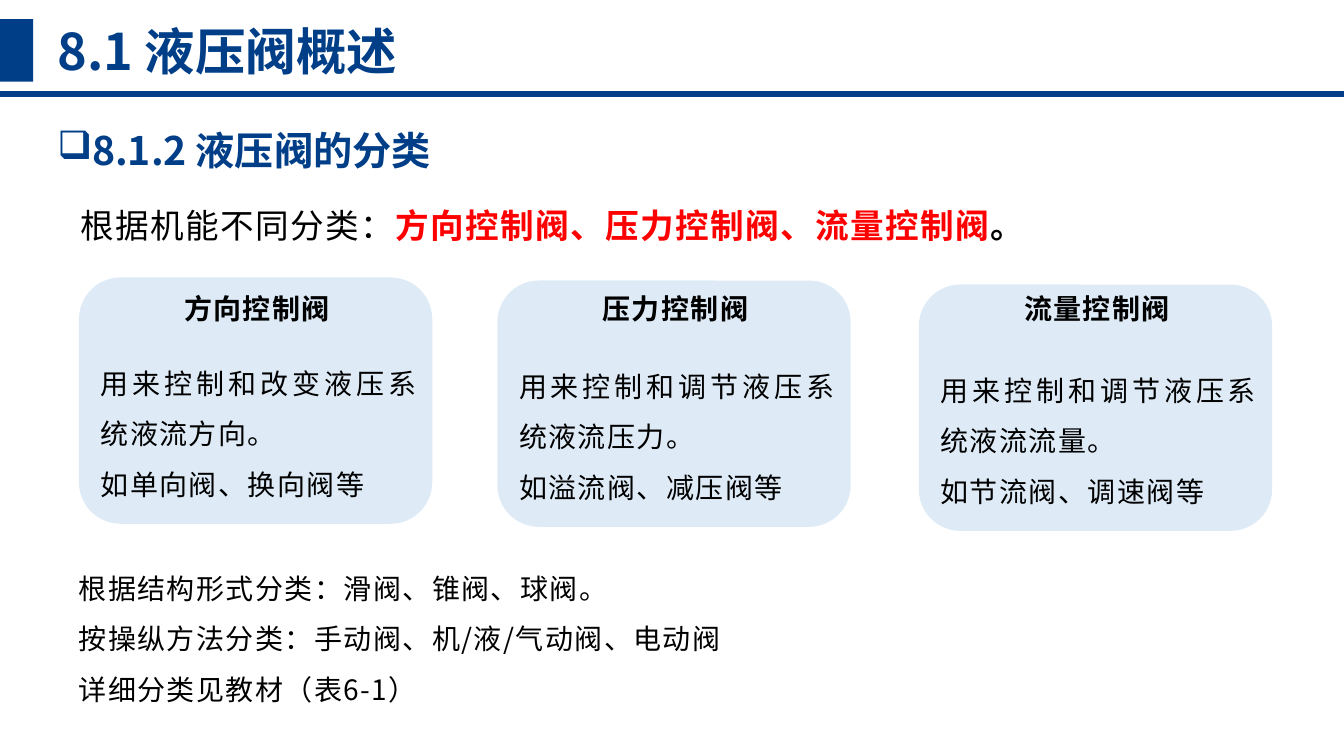
import pptx
import pptx.util
import pptx.dml.color
import pptx.enum.shapes
import pptx.enum.text
import pptx.oxml
import lxml.etree

Inches = pptx.util.Inches
FONT = "Noto Sans CJK SC"
NAVY, RED, BLACK, PALE = "003F88", "FF0000", "000000", "DEEBF7"
ALIGN = pptx.enum.text.PP_ALIGN
SHAPE = pptx.enum.shapes.MSO_SHAPE


def color(value):
    return pptx.dml.color.RGBColor.from_string(value)


def write(box, area, paragraphs, size, align=ALIGN.JUSTIFY, line_spacing=1.0, tracking=100):
    """Place a box and fill it; each paragraph is a list of (text, colour, bold)."""
    box.left, box.top, box.width, box.height = [Inches(length) for length in area]
    frame = box.text_frame
    frame.word_wrap = True
    frame.auto_size = pptx.enum.text.MSO_AUTO_SIZE.SHAPE_TO_FIT_TEXT
    frame.vertical_anchor = pptx.enum.text.MSO_ANCHOR.TOP
    for index, runs in enumerate(paragraphs):
        para = frame.paragraphs[0] if index == 0 else frame.add_paragraph()
        para.alignment = align
        para.line_spacing = line_spacing
        para.space_before = pptx.util.Pt(0)
        for text, value, bold in runs:
            span = para.add_run()
            span.text = text
            span.font.size = pptx.util.Pt(size)
            span.font.bold = bold
            span.font.color.rgb = color(value)
            span.font.name = FONT
            properties = span.font._element
            properties.set("spc", str(tracking))
            east_asian = lxml.etree.SubElement(properties, pptx.oxml.ns.qn("a:ea"))
            east_asian.set("typeface", FONT)


deck = pptx.Presentation()
deck.slide_width, deck.slide_height = Inches(13.33), Inches(7.5)
page = deck.slides.add_slide(deck.slide_layouts[1])
shapes = page.shapes

# Header
write(shapes.title, (0.47, 0.15, 5, 0.71), [[("8.1 液压阀概述", NAVY, True)]], 36,
      align=ALIGN.LEFT, tracking=0)
marker = shapes.add_shape(SHAPE.RECTANGLE, Inches(-0.02), Inches(0.19), Inches(0.35), Inches(0.62))
marker.shadow.inherit = False
marker.fill.solid()
marker.fill.fore_color.rgb = color(NAVY)
marker.line.fill.background()
rule = shapes.add_connector(pptx.enum.shapes.MSO_CONNECTOR.STRAIGHT,
                            0, Inches(0.93), deck.slide_width, Inches(0.93))
rule.line.color.rgb = color(NAVY)
rule.line.width = pptx.util.Pt(4.5)
lxml.etree.SubElement(rule._element.spPr, pptx.oxml.ns.qn("a:effectLst"))

# Section heading with a box bullet
heading = shapes.add_textbox(0, 0, 0, 0)
write(heading, (0.47, 0.97, 8.25, 0.72), [[("8.1.2 液压阀的分类", NAVY, True)]], 28,
      align=ALIGN.LEFT, line_spacing=1.5, tracking=0)
heading_format = heading.text_frame.paragraphs[0]._p.get_or_add_pPr()
heading_format.set("marL", str(Inches(0.34)))
heading_format.set("indent", str(-Inches(0.34)))
bullet = lxml.etree.SubElement(heading_format, pptx.oxml.ns.qn("a:buChar"))
bullet.set("char", "❑")

write(shapes.add_textbox(0, 0, 0, 0), (0.7, 1.98, 11.93, 0.5),
      [[("根据机能不同分类：", BLACK, False),
        ("方向控制阀、压力控制阀、流量控制阀", RED, True),
        ("。", BLACK, True)]], 24)

# Three valve cards: left, top, name, purpose, examples
cards = [
    (0.79, 2.76, "方向控制阀", "用来控制和改变液压系统液流方向。", "如单向阀、换向阀等"),
    (4.94, 2.79, "压力控制阀", "用来控制和调节液压系统液流压力。", "如溢流阀、减压阀等"),
    (9.12, 2.83, "流量控制阀", "用来控制和调节液压系统液流流量。", "如节流阀、调速阀等"),
]
for left, top, name, purpose, examples in cards:
    card = shapes.add_shape(SHAPE.ROUNDED_RECTANGLE,
                            Inches(left), Inches(top), Inches(3.49), Inches(2.43))
    card.shadow.inherit = False
    card.fill.solid()
    card.fill.fore_color.rgb = color(PALE)
    card.line.color.rgb = color(PALE)
    card.line.width = pptx.util.Pt(1)
    write(shapes.add_textbox(0, 0, 0, 0), (left + 0.72, 2.84, 2.08, 0.44),
          [[(name, BLACK, True)]], 20, align=ALIGN.CENTER)
    write(shapes.add_textbox(0, 0, 0, 0), (left + 0.11, top + 0.66, 3.34, 1.56),
          [[(purpose, BLACK, False)], [(examples, BLACK, False)]], 20, line_spacing=1.5)

# Other classifications
others = ["根据结构形式分类：滑阀、锥阀、球阀。",
          "按操纵方法分类：手动阀、机/液/气动阀、电动阀",
          "详细分类见教材（表6-1）"]
body = page.placeholders[1]
write(body, (0.68, 5.45, 11.93, 1.56), [[(line, BLACK, False)] for line in others], 20,
      line_spacing=1.5)
for para in body.text_frame.paragraphs:
    para_format = para._p.get_or_add_pPr()
    para_format.set("marL", "0")
    para_format.set("indent", "0")
    lxml.etree.SubElement(para_format, pptx.oxml.ns.qn("a:buNone"))

deck.save("out.pptx")
